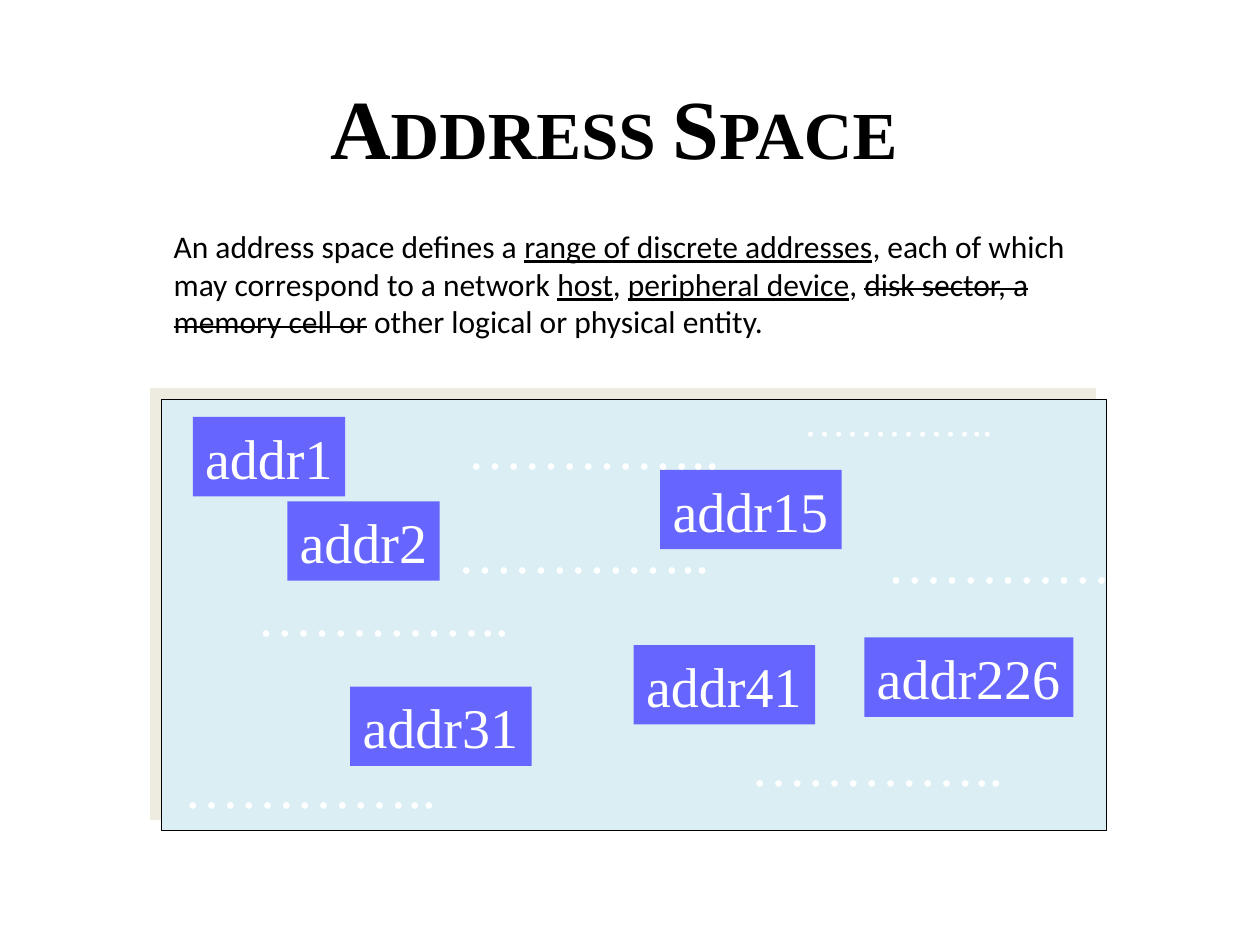
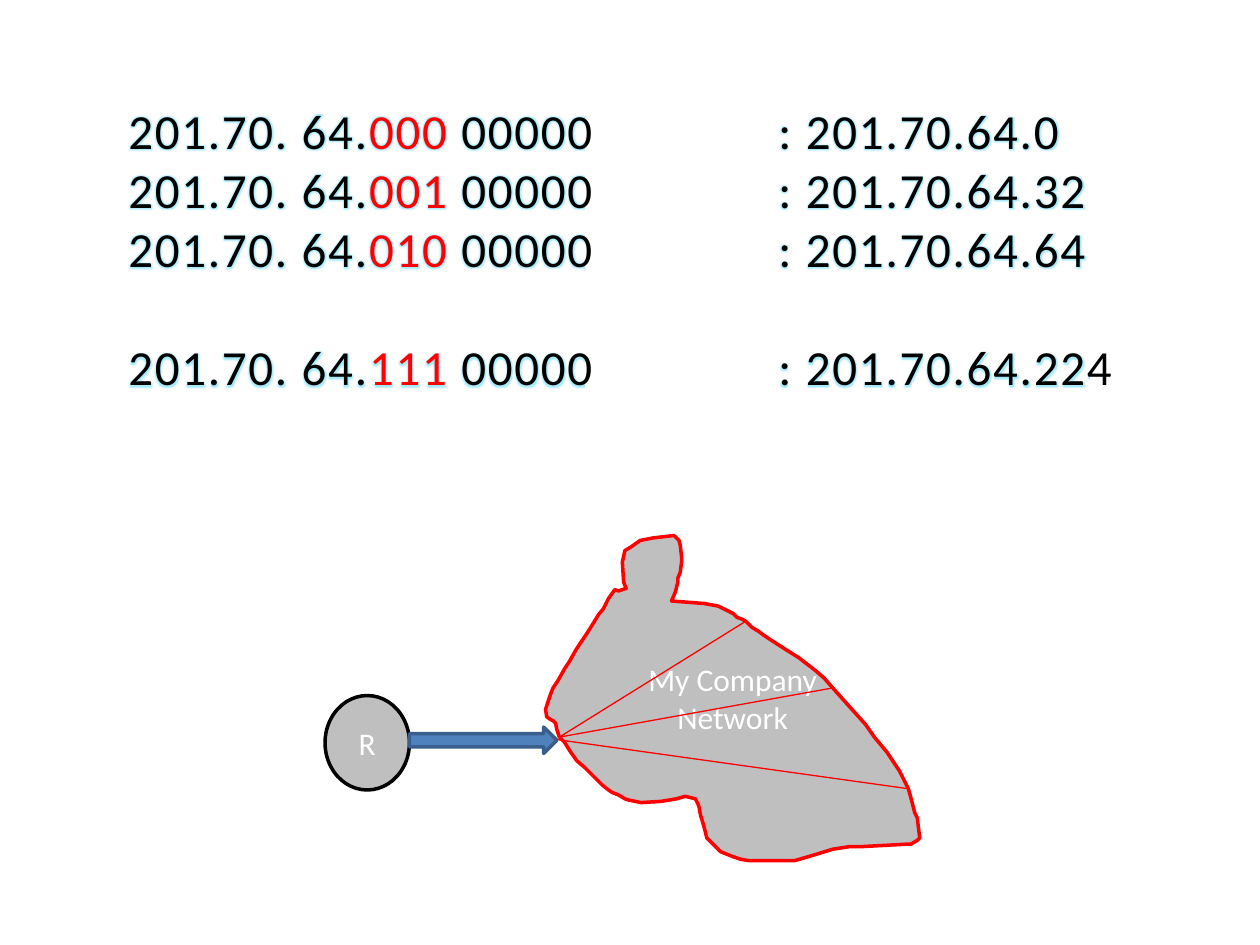
import dataclasses

import lxml.etree
import pptx
import pptx.dml.color
import pptx.enum.shapes
import pptx.enum.text
import pptx.oxml.ns
import pptx.presentation
import pptx.shapes.autoshape
import pptx.shapes.base
import pptx.slide
import pptx.text.text
import pptx.util

Inches = pptx.util.Inches
Pt = pptx.util.Pt
RGBColor = pptx.dml.color.RGBColor
Shape = pptx.enum.shapes.MSO_SHAPE
Anchor = pptx.enum.text.MSO_ANCHOR
Align = pptx.enum.text.PP_ALIGN
qn = pptx.oxml.ns.qn

BLACK = RGBColor(0x00, 0x00, 0x00)
WHITE = RGBColor(0xFF, 0xFF, 0xFF)
RED = RGBColor(0xFF, 0x00, 0x00)
GRAY = RGBColor(0xBF, 0xBF, 0xBF)
PANEL_BLUE = RGBColor(0xDB, 0xEE, 0xF4)
PANEL_SHADOW = RGBColor(0xEE, 0xEC, 0xE1)
TAG_VIOLET = RGBColor(0x66, 0x66, 0xFF)
ARROW_BLUE = RGBColor(0x4F, 0x81, 0xBD)
ARROW_EDGE = RGBColor(0x3A, 0x5F, 0x8C)
GLOW_CYAN = RGBColor(0x00, 0xC0, 0xF0)

SERIF = "Times New Roman"
SANS = "Calibri"
DOTS = "………….."
BLANK_LINE = Pt(34)


@dataclasses.dataclass(frozen=True)
class Area:
    left: float
    top: float
    width: float
    height: float

    def lengths(self) -> list[pptx.util.Length]:
        return [Inches(value) for value in dataclasses.astuple(self)]


@dataclasses.dataclass(frozen=True)
class Tag:
    text: str
    left: float
    top: float
    width: float


@dataclasses.dataclass(frozen=True)
class DotRow:
    left: float
    top: float
    width: float = 2.2
    height: float = 0.63
    size: int = 32


@dataclasses.dataclass(frozen=True)
class Span:
    text: str
    underline: bool = False
    strike: bool = False


@dataclasses.dataclass(frozen=True)
class Subnet:
    bits: str
    last_octet: int
    space_before: pptx.util.Length = Pt(0)


TAGS = [
    Tag("addr15", 5.24, 3.73, 1.44),
    Tag("addr1", 1.53, 3.31, 1.21),
    Tag("addr2", 2.28, 3.98, 1.21),
    Tag("addr41", 5.03, 5.12, 1.44),
    Tag("addr31", 2.78, 5.45, 1.44),
    Tag("addr226", 6.86, 5.06, 1.66),
]

DOT_ROWS = [
    DotRow(6.94, 4.14),
    DotRow(1.94, 4.56),
    DotRow(3.61, 3.23),
    DotRow(6.28, 3.08, 1.7, 0.5, 24),
    DotRow(3.53, 4.06),
    DotRow(5.86, 5.75),
    DotRow(1.36, 5.92),
]

DEFINITION = [
    Span("An address space defines a "),
    Span("range of discrete addresses", underline=True),
    Span(", each of which may correspond to a network "),
    Span("host", underline=True),
    Span(", "),
    Span("peripheral device", underline=True),
    Span(", "),
    Span("disk sector, a memory cell or", strike=True),
    Span(" other logical or physical entity."),
]

SUBNETS = [
    Subnet("000", 0),
    Subnet("001", 32),
    Subnet("010", 64),
    Subnet("111", 224, BLANK_LINE),
]

NETWORK_OUTLINE = [
    (4.88, 4.68), (4.83, 4.75), (4.79, 4.83), (4.75, 4.88), (4.67, 5.01),
    (4.57, 5.16), (4.52, 5.25), (4.48, 5.31), (4.43, 5.4), (4.39, 5.46),
    (4.37, 5.51), (4.35, 5.57), (4.34, 5.6), (4.33, 5.63), (4.34, 5.69),
    (4.37, 5.71), (4.39, 5.72), (4.41, 5.74), (4.42, 5.79), (4.44, 5.85),
    (4.48, 5.89), (4.53, 5.97), (4.58, 6.04), (4.64, 6.09), (4.69, 6.14),
    (4.74, 6.19), (4.78, 6.23), (4.83, 6.27), (4.86, 6.29), (4.91, 6.31),
    (4.96, 6.34), (4.99, 6.35), (5.09, 6.37), (5.25, 6.36), (5.37, 6.34),
    (5.44, 6.32), (5.52, 6.34), (5.54, 6.38), (5.55, 6.41), (5.56, 6.47),
    (5.57, 6.5), (5.59, 6.57), (5.61, 6.65), (5.63, 6.67), (5.72, 6.76),
    (5.82, 6.8), (5.88, 6.82), (5.94, 6.83), (6.31, 6.83), (6.48, 6.78),
    (6.61, 6.74), (6.74, 6.72), (6.83, 6.72), (7.2, 6.7), (7.23, 6.7),
    (7.28, 6.67), (7.3, 6.65), (7.29, 6.57), (7.28, 6.49), (7.26, 6.45),
    (7.24, 6.37), (7.21, 6.26), (7.14, 6.12), (7.04, 5.97), (6.94, 5.85),
    (6.87, 5.75), (6.69, 5.55), (6.61, 5.46), (6.54, 5.38), (6.47, 5.32),
    (6.34, 5.22), (6.26, 5.17), (6.12, 5.08), (6.06, 5.04), (6.02, 5.01),
    (5.97, 4.98), (5.92, 4.93), (5.88, 4.91), (5.85, 4.9), (5.82, 4.87),
    (5.78, 4.85), (5.7, 4.81), (5.59, 4.79), (5.33, 4.77), (5.36, 4.7),
    (5.38, 4.62), (5.38, 4.59), (5.4, 4.54), (5.41, 4.46), (5.41, 4.42),
    (5.4, 4.33), (5.39, 4.29), (5.35, 4.25), (5.18, 4.27), (5.08, 4.29),
    (5.01, 4.34), (4.96, 4.37), (4.94, 4.46), (4.95, 4.62), (4.97, 4.67),
    (4.91, 4.69),
]

SUBNET_LINES = [
    ((4.44, 5.85), (5.92, 4.93)),
    ((4.44, 5.85), (6.61, 5.46)),
    ((4.42, 5.87), (7.21, 6.26)),
]


def add_color(parent: lxml.etree._Element, color: RGBColor) -> lxml.etree._Element:
    return lxml.etree.SubElement(parent, qn("a:srgbClr"), val=str(color))


def add_span(
    para: pptx.text.text._Paragraph,
    text: str,
    *,
    size: float,
    font: str = SANS,
    color: RGBColor = BLACK,
    bold: bool = False,
    underline: bool = False,
    strike: bool = False,
    small_caps: bool = False,
    glow: bool = False,
) -> None:
    span = para.add_run()
    span.text = text
    span.font.size = Pt(size)
    span.font.name = font
    span.font.bold = bold
    span.font.underline = underline
    span.font.color.rgb = color
    properties = span.font._element
    if strike:
        properties.set("strike", "sngStrike")
    if small_caps:
        properties.set("cap", "small")
    if glow:
        properties.set("spc", "100")
        effects = lxml.etree.Element(qn("a:effectLst"))
        halo = lxml.etree.SubElement(effects, qn("a:glow"), rad=str(Pt(3.6)))
        lxml.etree.SubElement(add_color(halo, GLOW_CYAN), qn("a:alpha"), val="35000")
        properties.find(qn("a:solidFill")).addnext(effects)


def first_para(
    box: pptx.shapes.base.BaseShape,
    *,
    wrap: bool = False,
    grow: bool = True,
    anchor: Anchor = Anchor.TOP,
    align: Align = Align.LEFT,
) -> pptx.text.text._Paragraph:
    frame = box.text_frame
    frame.word_wrap = wrap
    sizing = pptx.enum.text.MSO_AUTO_SIZE
    frame.auto_size = sizing.SHAPE_TO_FIT_TEXT if grow else sizing.NONE
    frame.vertical_anchor = anchor
    para = frame.paragraphs[0]
    para.alignment = align
    return para


def style_shape(
    shape: pptx.shapes.autoshape.Shape,
    fill: RGBColor,
    line: RGBColor | None = None,
    line_width: float = 2,
) -> None:
    shape.shadow.inherit = False
    shape.fill.solid()
    shape.fill.fore_color.rgb = fill
    if line is None:
        shape.line.fill.background()
    else:
        shape.line.color.rgb = line
        shape.line.width = Pt(line_width)


def add_panel(page: pptx.slide.Slide) -> None:
    panel = page.shapes.add_shape(Shape.RECTANGLE, *Area(1.28, 3.17, 7.5, 3.42).lengths())
    style_shape(panel, PANEL_BLUE, BLACK, 0.75)
    effects = panel._element.spPr.find(qn("a:effectLst"))
    shadow = lxml.etree.SubElement(
        effects, qn("a:outerShdw"), dist=str(Pt(8.5)), dir=str(225 * 60000), rotWithShape="0"
    )
    add_color(shadow, PANEL_SHADOW)


def build_address_space(deck: pptx.presentation.Presentation) -> None:
    page = deck.slides.add_slide(deck.slide_layouts[5])
    title = page.shapes.title
    title.left, title.top, title.width, title.height = Area(2.52, 0.55, 4.78, 0.91).lengths()
    add_span(first_para(title), "Address Space", size=48, font=SERIF, bold=True, small_caps=True)

    add_panel(page)
    for tag in TAGS:
        area = Area(tag.left, tag.top, tag.width, 0.63)
        box = page.shapes.add_shape(Shape.RECTANGLE, *area.lengths())
        style_shape(box, TAG_VIOLET)
        add_span(first_para(box), tag.text, size=32, font=SERIF, color=WHITE)
    for row in DOT_ROWS:
        area = Area(row.left, row.top, row.width, row.height)
        box = page.shapes.add_textbox(*area.lengths())
        add_span(first_para(box), DOTS, size=row.size, font=SERIF, color=WHITE)

    box = page.shapes.add_textbox(*Area(1.28, 1.75, 7.67, 1.01).lengths())
    para = first_para(box, wrap=True)
    for span in DEFINITION:
        add_span(para, span.text, size=18, underline=span.underline, strike=span.strike)


def add_subnet_column(
    page: pptx.slide.Slide, area: Area, rows: list[list[tuple[str, RGBColor]]], wrap: bool
) -> None:
    box = page.shapes.add_textbox(*area.lengths())
    para = first_para(box, wrap=wrap)
    for index, (subnet, spans) in enumerate(zip(SUBNETS, rows)):
        if index:
            para = box.text_frame.add_paragraph()
            para.space_before = subnet.space_before
        for text, color in spans:
            add_span(para, text, size=28, color=color, glow=True)


def build_subnets(deck: pptx.presentation.Presentation) -> None:
    page = deck.slides.add_slide(deck.slide_layouts[6])
    binary = [
        [("201.70. 64.", BLACK), (subnet.bits, RED), (" 00000", BLACK)] for subnet in SUBNETS
    ]
    decimal = [[(f": 201.70.64.{subnet.last_octet}", BLACK)] for subnet in SUBNETS]
    add_subnet_column(page, Area(0.92, 0.75, 7.08, 3.84), binary, wrap=True)
    add_subnet_column(page, Area(6.08, 0.75, 2.91, 2.46), decimal, wrap=False)

    router = page.shapes.add_shape(Shape.OVAL, *Area(2.58, 5.52, 0.67, 0.75).lengths())
    style_shape(router, GRAY, BLACK)
    centred = dict(wrap=True, grow=False, anchor=Anchor.MIDDLE, align=Align.CENTER)
    add_span(first_para(router, **centred), "R", size=18, color=WHITE)

    points = [(Inches(x), Inches(y)) for x, y in NETWORK_OUTLINE]
    builder = page.shapes.build_freeform(*points[0])
    builder.add_line_segments(points[1:], close=True)
    network = builder.convert_to_shape()
    style_shape(network, GRAY, RED)
    add_span(first_para(network, **centred), "My Company", size=18, color=WHITE)
    para = network.text_frame.add_paragraph()
    para.alignment = Align.CENTER
    add_span(para, "Network", size=18, color=WHITE)

    arrow = page.shapes.add_shape(Shape.RIGHT_ARROW, *Area(3.25, 5.77, 1.17, 0.21).lengths())
    style_shape(arrow, ARROW_BLUE, ARROW_EDGE)

    for start, end in SUBNET_LINES:
        ends = [Inches(value) for value in (*start, *end)]
        line = page.shapes.add_connector(pptx.enum.shapes.MSO_CONNECTOR.STRAIGHT, *ends)
        line.line.color.rgb = RED
        line.line.width = Pt(0.75)
        lxml.etree.SubElement(line._element.spPr, qn("a:effectLst"))


def main() -> None:
    deck = pptx.Presentation()
    deck.slide_width = Inches(10)
    deck.slide_height = Inches(7.5)
    build_address_space(deck)
    build_subnets(deck)
    deck.save("out.pptx")


if __name__ == "__main__":
    main()
